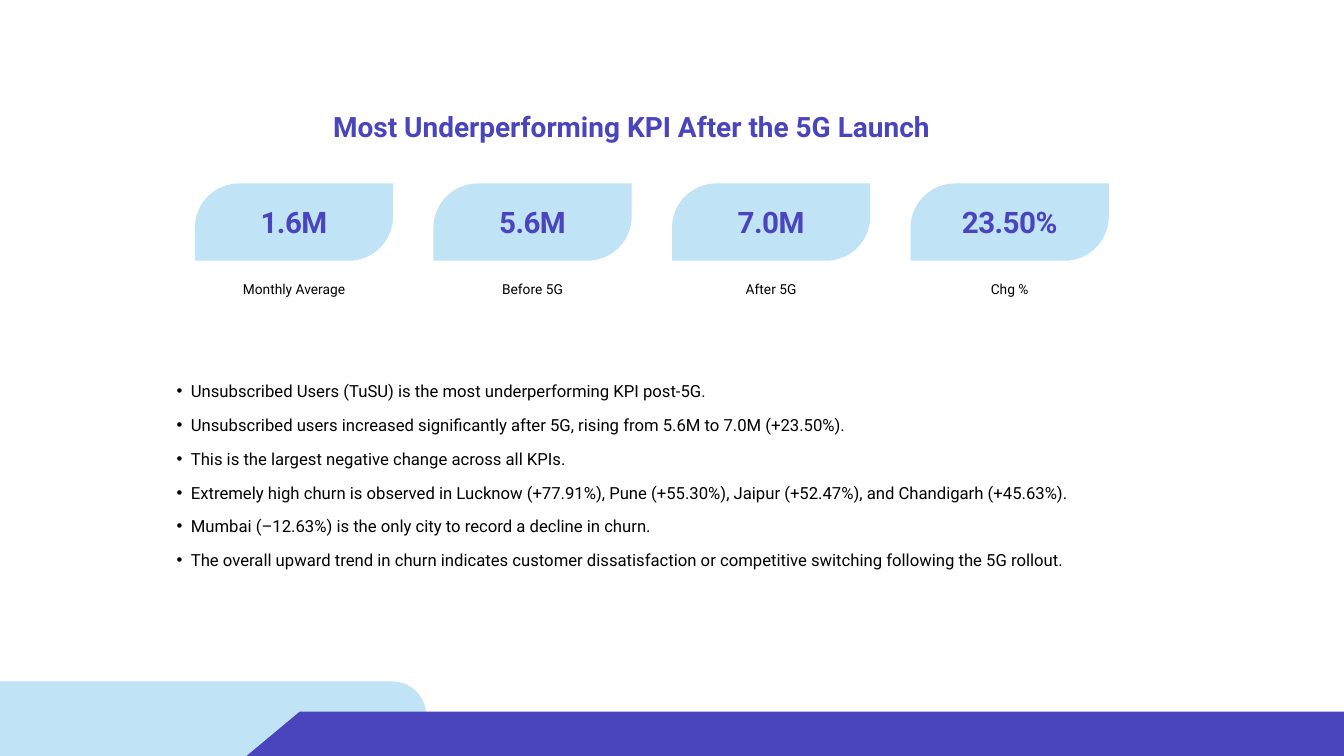
import math
from dataclasses import dataclass

from lxml import etree
from pptx import Presentation
from pptx import util as u
from pptx.dml.color import RGBColor
from pptx.enum import shapes, text
from pptx.oxml import ns

COLORS = {"indigo": "4A44BD", "sky": "C0E4F6", "black": "000000"}
FONT = "Roboto"

CARD_LEFT, CARD_TOP, CARD_PITCH = 2.9, 2.73, 3.55
CARD_WIDTH, CARD_HEIGHT, CARD_RADIUS = 2.95, 1.15, 0.66
VALUE_WIDTH = 2.23


@dataclass
class Box:
    left: float
    top: float
    width: float
    height: float

    def lengths(self) -> list:
        return [u.Inches(n) for n in (self.left, self.top, self.width, self.height)]


@dataclass
class TextStyle:
    size: float
    line_spacing: float
    color: str = "black"
    bold: bool = False
    tracking: float = 0
    alignment: text.PP_ALIGN = text.PP_ALIGN.CENTER
    bullet: str = ""


@dataclass
class Metric:
    value: str
    label: str


TITLE = TextStyle(30, 33, "indigo", True)
VALUE = TextStyle(31.7, 34.9, "indigo", True, tracking=-0.6)
LABEL = TextStyle(14.7, 20.6)
FINDING = TextStyle(17.9, 36.3, alignment=text.PP_ALIGN.LEFT, bullet="•")

METRICS = [
    Metric("1.6M", "Monthly Average"),
    Metric("5.6M", "Before 5G"),
    Metric("7.0M", "After 5G"),
    Metric("23.50%", "Chg %"),
]

FINDINGS = [
    "Unsubscribed Users (TuSU) is the most underperforming KPI post-5G.",
    "Unsubscribed users increased significantly after 5G, rising from 5.6M to 7.0M (+23.50%).",
    "This is the largest negative change across all KPIs.",
    "Extremely high churn is observed in Lucknow (+77.91%), Pune (+55.30%), "
    "Jaipur (+52.47%), and Chandigarh (+45.63%).",
    "Mumbai (–12.63%) is the only city to record a decline in churn.",
    "The overall upward trend in churn indicates customer dissatisfaction or "
    "competitive switching following the 5G rollout.",
]


def paint(shape, color: str) -> None:
    shape.shadow.inherit = False
    shape.fill.solid()
    shape.fill.fore_color.rgb = RGBColor.from_string(COLORS[color])
    shape.line.fill.background()


def add_band(slide, kind, box: Box, adjustment: float, color: str) -> None:
    shape = slide.shapes.add_shape(kind, *box.lengths())
    shape.adjustments[0] = adjustment
    paint(shape, color)


def arc(center_x: float, center_y: float, start: int) -> list:
    """Quarter circle, clockwise on the slide from the start angle."""
    angles = [math.radians(start + step) for step in range(0, 91, 5)]
    return [(u.Inches(center_x + CARD_RADIUS * math.cos(angle)),
             u.Inches(center_y + CARD_RADIUS * math.sin(angle))) for angle in angles]


def add_card(slide, left: float) -> None:
    right, bottom = left + CARD_WIDTH, CARD_TOP + CARD_HEIGHT
    points = [
        *arc(left + CARD_RADIUS, CARD_TOP + CARD_RADIUS, 180),
        (u.Inches(right), u.Inches(CARD_TOP)),
        *arc(right - CARD_RADIUS, bottom - CARD_RADIUS, 0),
        (u.Inches(left), u.Inches(bottom)),
    ]
    builder = slide.shapes.build_freeform(*points[0])
    builder.add_line_segments(points[1:], close=True)
    paint(builder.convert_to_shape(), "sky")


def add_bullet(paragraph, symbol: str) -> None:
    paragraph.level = 1
    properties = paragraph._p.get_or_add_pPr()
    properties.set("marL", str(u.Inches(0.42)))
    properties.set("indent", str(u.Inches(-0.21)))
    etree.SubElement(properties, ns.qn("a:buFont"), typeface="Arial")
    etree.SubElement(properties, ns.qn("a:buChar"), char=symbol)


def add_text(slide, box: Box, lines: list[str], style: TextStyle) -> None:
    frame = slide.shapes.add_textbox(*box.lengths()).text_frame
    frame_format = {
        "margin_left": 0, "margin_top": 0, "margin_right": 0, "margin_bottom": 0,
        "word_wrap": True, "auto_size": text.MSO_AUTO_SIZE.SHAPE_TO_FIT_TEXT,
    }
    for name, value in frame_format.items():
        setattr(frame, name, value)
    for index, line in enumerate(lines):
        paragraph = frame.add_paragraph() if index else frame.paragraphs[0]
        if style.bullet:
            add_bullet(paragraph, style.bullet)
        paragraph.alignment = style.alignment
        paragraph.line_spacing = u.Pt(style.line_spacing)
        run = paragraph.add_run()
        run.text = line
        font_format = {"name": FONT, "size": u.Pt(style.size), "bold": style.bold}
        for name, value in font_format.items():
            setattr(run.font, name, value)
        run.font.color.rgb = RGBColor.from_string(COLORS[style.color])
        if style.tracking:
            run._r.get_or_add_rPr().set("spc", str(round(style.tracking * 100)))


def main() -> None:
    presentation = Presentation()
    presentation.slide_width = u.Inches(20)
    presentation.slide_height = u.Inches(11.25)
    slide = presentation.slides.add_slide(presentation.slide_layouts[6])

    # Footer bands
    add_band(slide, shapes.MSO_SHAPE.ROUNDED_RECTANGLE,
             Box(-0.76, 10.14, 7.1, 1.11), 0.45, "sky")
    add_band(slide, shapes.MSO_SHAPE.PARALLELOGRAM,
             Box(3.62, 10.59, 17.39, 0.7), 1.2, "indigo")

    # Title
    add_text(slide, Box(3.98, 1.67, 10.84, 0.45),
             ["Most Underperforming KPI After the 5G Launch"], TITLE)

    # Metric cards
    for index, metric in enumerate(METRICS):
        left = CARD_LEFT + index * CARD_PITCH
        value_left = left + (CARD_WIDTH - VALUE_WIDTH) / 2
        add_card(slide, left)
        add_text(slide, Box(value_left, 3.08, VALUE_WIDTH, 0.49), [metric.value], VALUE)
        add_text(slide, Box(left, 4.14, CARD_WIDTH, 0.27), [metric.label], LABEL)

    # Findings
    add_text(slide, Box(2.42, 5.46, 15.17, 2.93), FINDINGS, FINDING)

    presentation.save("out.pptx")


if __name__ == "__main__":
    main()
